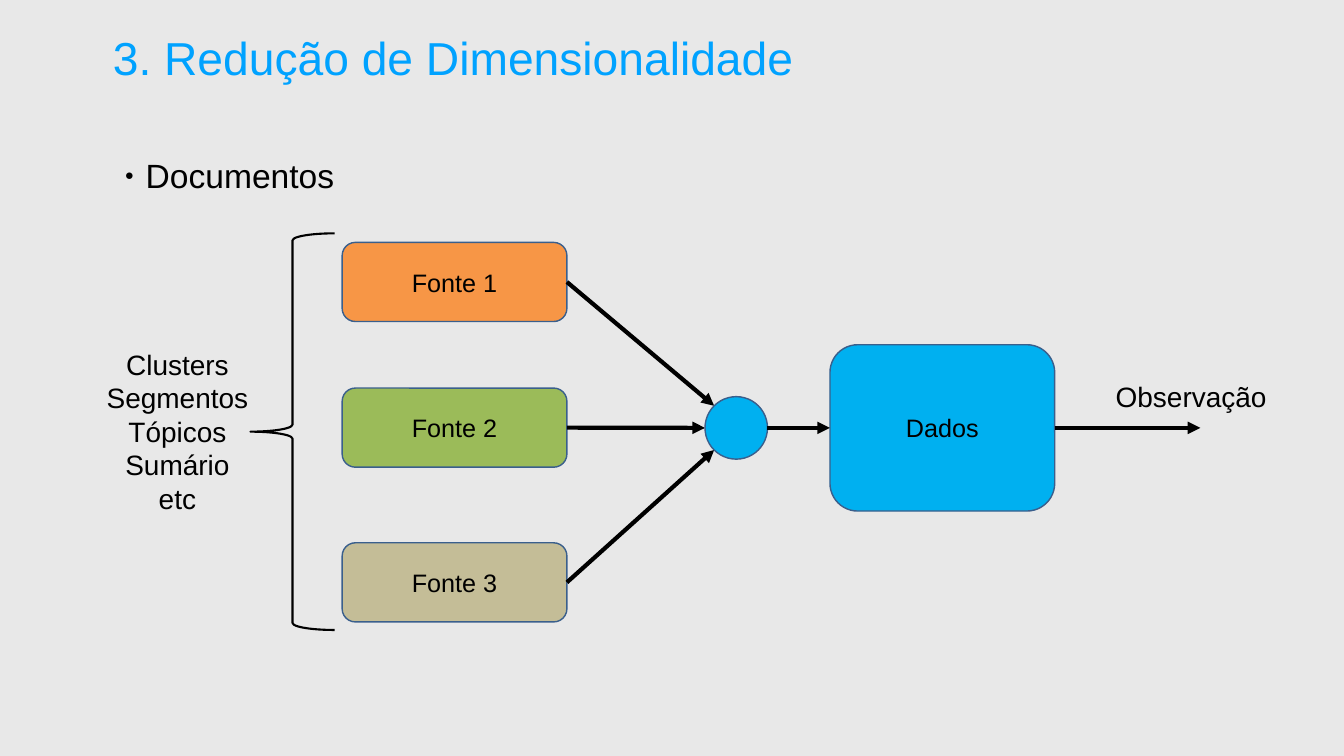
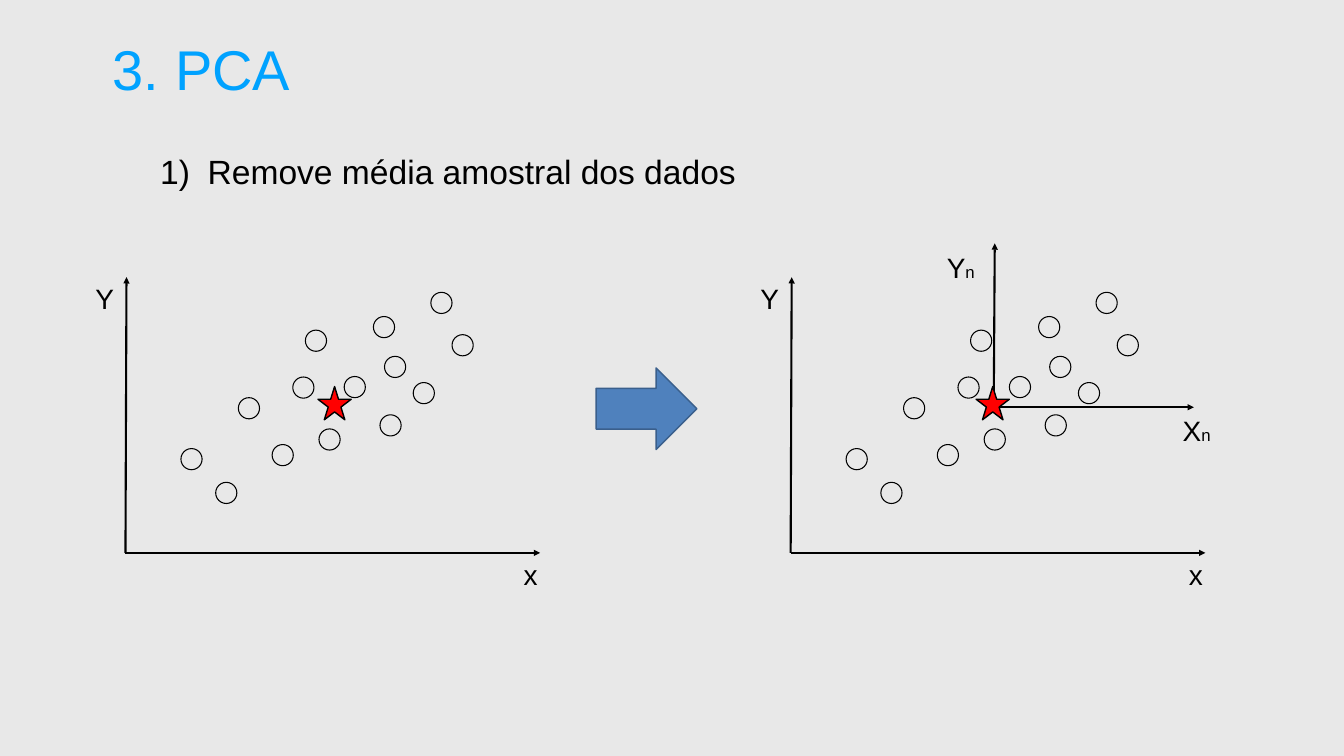
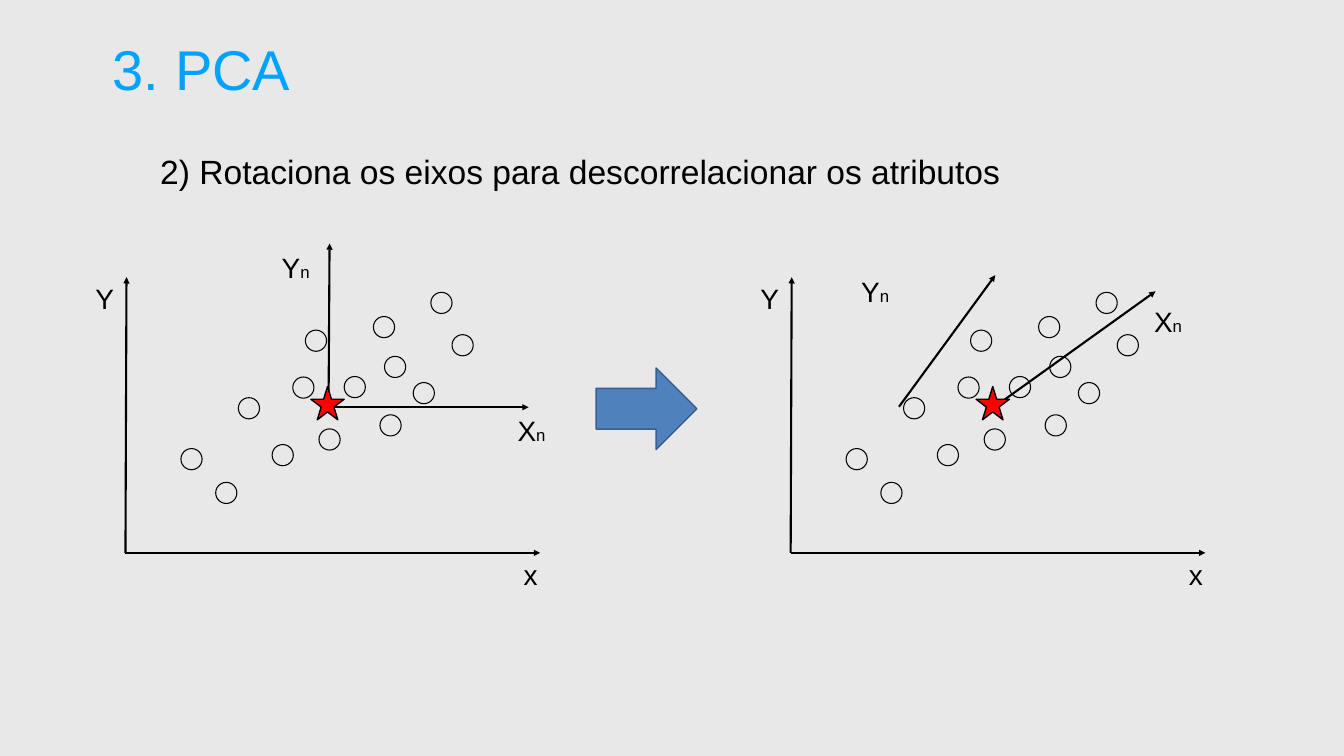
from dataclasses import dataclass
from math import sqrt

from lxml import etree
from pptx import Presentation
from pptx.dml.color import RGBColor
from pptx.enum.shapes import MSO_CONNECTOR, MSO_SHAPE
from pptx.enum.text import MSO_ANCHOR, MSO_AUTO_SIZE, PP_ALIGN
from pptx.oxml.ns import qn
from pptx.util import Inches, Pt

ROUNDED = MSO_SHAPE.ROUNDED_RECTANGLE
OVAL = MSO_SHAPE.OVAL
BRACE = MSO_SHAPE.LEFT_BRACE
BLOCK_ARROW = MSO_SHAPE.RIGHT_ARROW
STAR = MSO_SHAPE.STAR_5_POINT
STRAIGHT = MSO_CONNECTOR.STRAIGHT
LEFT, CENTER = PP_ALIGN.LEFT, PP_ALIGN.CENTER
TOP, MIDDLE = MSO_ANCHOR.TOP, MSO_ANCHOR.MIDDLE
NO_AUTOFIT = MSO_AUTO_SIZE.NONE


@dataclass(frozen=True)
class Theme:
    font: str = "Arial"
    background: str = "E8E8E8"
    title: str = "00A2FF"
    ink: str = "000000"
    outline: str = "3A5F8C"
    data: str = "00B0F0"
    step: str = "4F81BD"
    mean: str = "FF0000"
    sources: tuple = ("F79646", "9BBB59", "C4BD97")
    long_title_size: int = 66
    title_size: int = 80
    body_size: int = 48
    label_size: int = 40
    shape_size: int = 36
    index_size: int = 24
    tight: tuple = (0.06, 0.06)
    roomy: tuple = (0.1, 0.05)


THEME = Theme()


def draw(page, kind, at, fill=None, line=THEME.ink, weight=2):
    """Add a preset shape, a text box ("text") or an arrow ("arrow").

    at is left, top, width, height in inches, or both end points of an arrow.
    """
    place = [Inches(length) for length in at]
    if kind == "text":
        return page.shapes.add_textbox(*place)
    if kind == "arrow":
        shape = page.shapes.add_connector(STRAIGHT, *place)
        etree.SubElement(shape._element.spPr, qn("a:effectLst"))
    else:
        shape = page.shapes.add_shape(kind, *place)
        shape.shadow.inherit = False
        if fill:
            shape.fill.solid()
            shape.fill.fore_color.rgb = RGBColor.from_string(fill)
        else:
            shape.fill.background()
    shape.line.color.rgb = RGBColor.from_string(line)
    shape.line.width = Pt(weight)
    if kind == "arrow":
        etree.SubElement(shape.line._get_or_add_ln(), qn("a:tailEnd"), type="triangle")
    return shape


def write(box, text, size, index="", color=THEME.ink, align=LEFT, anchor=TOP,
          inset=THEME.tight, wrap=True, spacing=None, margin=0, hanging=0, bullet=()):
    """Fill a box, one paragraph a line; index is a small trailing letter."""
    frame = box.text_frame
    frame.auto_size = NO_AUTOFIT
    frame.word_wrap = wrap
    frame.vertical_anchor = anchor
    frame.margin_left = frame.margin_right = Inches(inset[0])
    frame.margin_top = frame.margin_bottom = Inches(inset[1])
    for number, words in enumerate(text.split("\n")):
        para = frame.add_paragraph() if number else frame.paragraphs[0]
        para.alignment = align
        if spacing:
            para.line_spacing = spacing
        properties = para._p.get_or_add_pPr()
        properties.set("marL", str(Inches(margin)))
        properties.set("indent", str(Inches(-hanging)))
        for tag, attributes in bullet:
            etree.SubElement(properties, qn(tag), attributes)
        for words_part, part_size in ((words, size), (index, THEME.index_size)):
            if words_part:
                span = para.add_run()
                span.text = words_part
                span.font.name = THEME.font
                span.font.size = Pt(part_size)
                span.font.color.rgb = RGBColor.from_string(color)


deck = Presentation()
deck.slide_width, deck.slide_height = Inches(26.67), Inches(15)
backdrop = deck.slide_master.background.fill
backdrop.solid()
backdrop.fore_color.rgb = RGBColor.from_string(THEME.background)

TITLES = [
    ("3. Redução de Dimensionalidade", THEME.long_title_size, (2.18, 0.53, 15.61, 1.21)),
    ("3. PCA", THEME.title_size, (2.18, 0.63, 19.55, 1.44)),
    ("3. PCA", THEME.title_size, (2.18, 0.63, 19.55, 1.44)),
]
pages = []
for words, size, at in TITLES:
    page = deck.slides.add_slide(deck.slide_layouts[5])
    title = page.shapes.title
    title.left, title.top, title.width, title.height = map(Inches, at)
    write(title, words, size, color=THEME.title, anchor=MIDDLE)
    pages.append(page)
sources_page, *pca_pages = pages

# Sources that mix into the observed data
SOURCE_LEFT, BOX_WIDTH, SOURCE_HEIGHT = 6.79, 4.46, 1.57
SOURCE_TOPS = (4.81, 7.7, 10.77)
SOURCE_RIGHT = SOURCE_LEFT + BOX_WIDTH
MIX_X, FLOW_Y, MIX_RADIUS = 14.61, 8.49, 0.62
DIAGONAL = MIX_RADIUS / sqrt(2)
MIX_ENTRIES = [(-DIAGONAL, -DIAGONAL), (-MIX_RADIUS, 0), (-DIAGONAL, DIAGONAL)]
DATA_LEFT, DATA_HEIGHT = 16.47, 3.3
DATA_RIGHT = DATA_LEFT + BOX_WIDTH

data_box = draw(sources_page, ROUNDED,
                (DATA_LEFT, FLOW_Y - DATA_HEIGHT / 2, BOX_WIDTH, DATA_HEIGHT),
                fill=THEME.data, line=THEME.outline)
write(data_box, "Dados", THEME.shape_size, align=CENTER, anchor=MIDDLE, inset=THEME.roomy)

for number, (top, color, entry) in enumerate(zip(SOURCE_TOPS, THEME.sources, MIX_ENTRIES), 1):
    source = draw(sources_page, ROUNDED, (SOURCE_LEFT, top, BOX_WIDTH, SOURCE_HEIGHT),
                  fill=color, line=THEME.outline)
    write(source, f"Fonte {number}", THEME.shape_size, align=CENTER, anchor=MIDDLE,
          inset=THEME.roomy)
    draw(sources_page, "arrow", (SOURCE_RIGHT, top + SOURCE_HEIGHT / 2,
                                 MIX_X + entry[0], FLOW_Y + entry[1]), weight=6)

draw(sources_page, OVAL,
     (MIX_X - MIX_RADIUS, FLOW_Y - MIX_RADIUS, 2 * MIX_RADIUS, 2 * MIX_RADIUS),
     fill=THEME.data, line=THEME.outline)
for start, end in ((MIX_X + MIX_RADIUS, DATA_LEFT), (DATA_RIGHT, 23.82)):
    draw(sources_page, "arrow", (start, FLOW_Y, end, FLOW_Y), weight=6)

draw(sources_page, BRACE, (4.97, 4.63, 1.67, 7.87), weight=3)
write(draw(sources_page, "text", (22.04, 7.49, 3.57, 0.76)), "Observação",
      THEME.label_size, inset=THEME.roomy)
write(draw(sources_page, "text", (0.56, 6.84, 5.92, 3.43)),
      "Clusters\nSegmentos\nTópicos\nSumário\netc",
      THEME.label_size, align=CENTER, inset=THEME.roomy)
write(draw(sources_page, "text", (2.18, 2.61, 15.61, 2.11)), "Documentos", THEME.body_size,
      spacing=1.5, margin=0.65, hanging=0.41,
      bullet=[("a:buSzPct", {"val": "45000"}), ("a:buFont", {"typeface": THEME.font}),
              ("a:buChar", {"char": "●"})])

# Steps of the PCA: horizontal lengths are offsets from the origin of each plot
NUMBERED = [("a:buFont", {"typeface": THEME.font}), ("a:buAutoNum", {"type": "arabicParenR"})]
STEPS = [
    ("Remove média amostral dos dados", dict(margin=1.88, hanging=0.94, bullet=NUMBERED)),
    ("2) Rotaciona os eixos para descorrelacionar os atributos", dict(margin=0.94)),
]
ORIGINS = (2.49, 15.69)
BASE_Y, AXIS_TOP, AXIS_LENGTH = 10.97, 5.5, 8.23
DOT, STAR_SIZE, STAR_TOP = 0.42, 0.66, 7.67
DOTS = [
    (2.24, 7.89), (3.32, 7.48), (4.34, 7.47), (1.1, 8.9), (1.79, 9.57), (5.05, 8.23),
    (3.57, 6.55), (2.91, 8.82), (5.71, 7.59), (6.06, 5.8), (3.84, 8.51), (6.48, 6.64),
    (5.14, 7.07), (4.92, 6.28),
]
MAIN_AXES = [(0, BASE_Y, 0.02, AXIS_TOP), (0, BASE_Y, AXIS_LENGTH, BASE_Y)]
# New axes, then the places of the labels Xn and Yn
PLAIN = ([], None, None)
CENTERED = ([(4.03, 8.07, 4.05, 4.83), (4.03, 8.08, 8, 8.08)], (6.78, 7.82), (2.06, 4.59))
ROTATED = ([(2.15, 8.07, 4.06, 5.46), (4.02, 8.09, 7.24, 5.78)], (6.21, 5.64), (0.36, 5.07))
PLOTS = [
    [(PLAIN, 3.82), (CENTERED, 3.68)],
    [(CENTERED, 3.68), (ROTATED, 3.68)],
]
LABEL = dict(spacing=1.5, margin=0.94)

for page, (step, layout), plots in zip(pca_pages, STEPS, PLOTS):
    write(draw(page, "text", (2.18, 2.53, 21.68, 3.31)), step, THEME.body_size,
          spacing=1.5, **layout)
    draw(page, BLOCK_ARROW, (11.83, 7.3, 2, 1.62), fill=THEME.step, line=THEME.outline)

    for origin, ((new_axes, x_label, y_label), star_x) in zip(ORIGINS, plots):
        for x, y in DOTS:
            draw(page, OVAL, (origin + x, y, DOT, DOT), weight=1.5)
        for x1, y1, x2, y2 in MAIN_AXES + new_axes:
            draw(page, "arrow", (origin + x1, y1, origin + x2, y2), weight=3)
        draw(page, STAR, (origin + star_x, STAR_TOP, STAR_SIZE, STAR_SIZE), fill=THEME.mean)

        for words, x, y in (("Y", -1.6, 5.19), ("x", 6.9, 10.66)):
            write(draw(page, "text", (origin + x, y, 1.82, 0.63)), words,
                  THEME.label_size, **LABEL)
        if new_axes:
            write(draw(page, "text", (origin + x_label[0], x_label[1], 2.02, 0.63)), "X",
                  THEME.label_size, index="n", **LABEL)
            write(draw(page, "text", (origin + y_label[0], y_label[1], 1.69, 0.76)), "Y",
                  THEME.label_size, index="n", inset=THEME.roomy, wrap=False, **LABEL)

deck.save("out.pptx")
